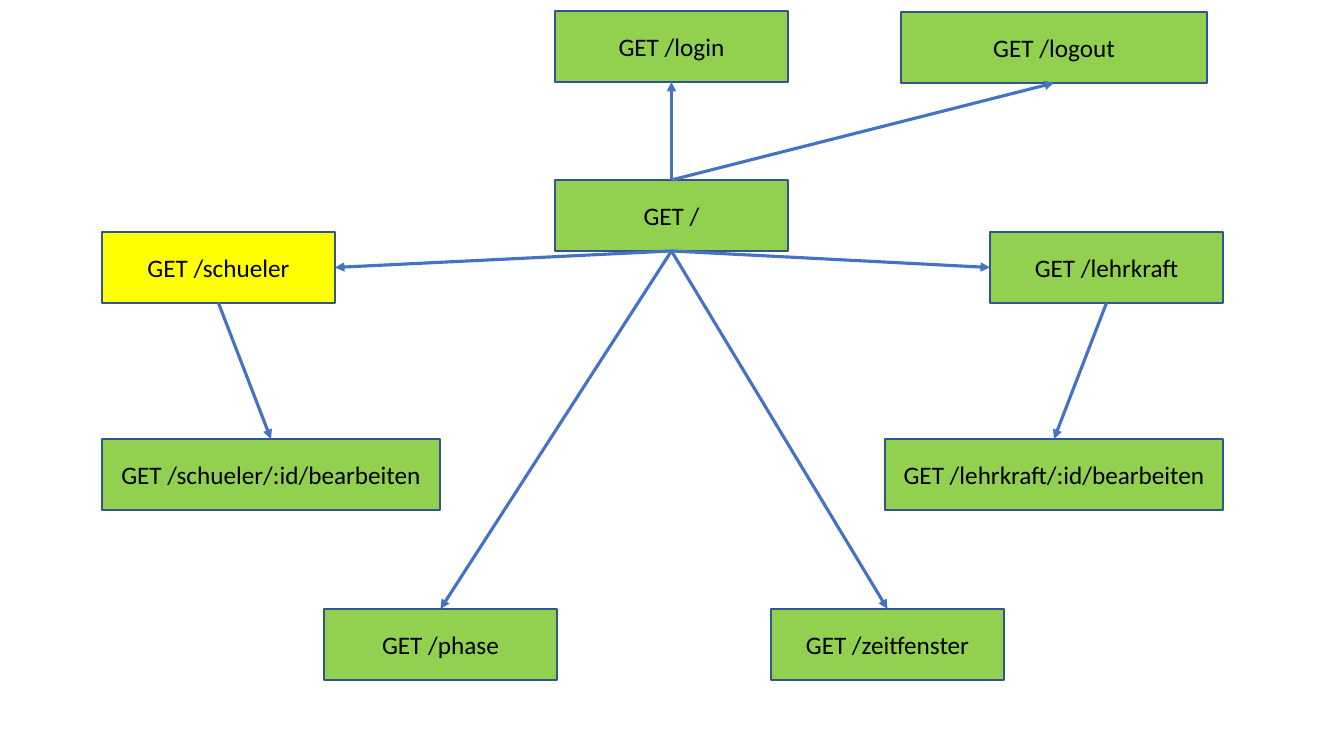
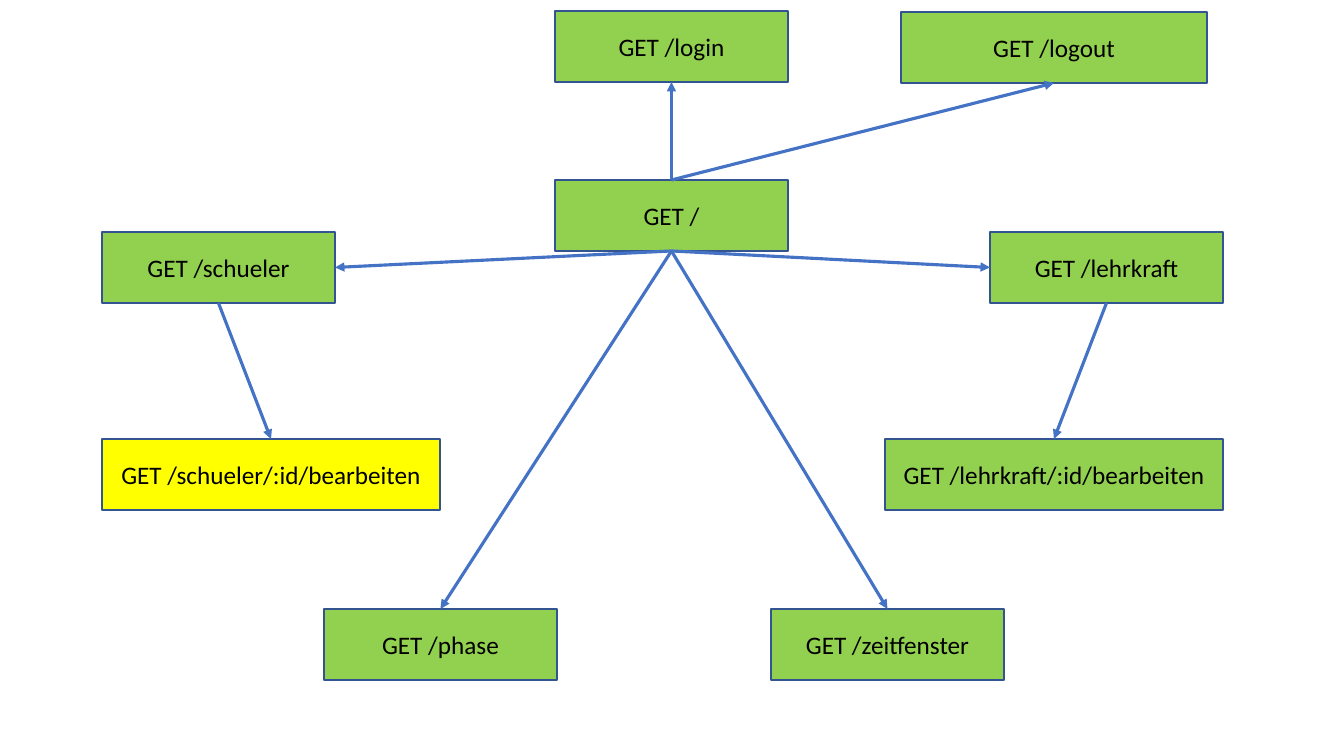
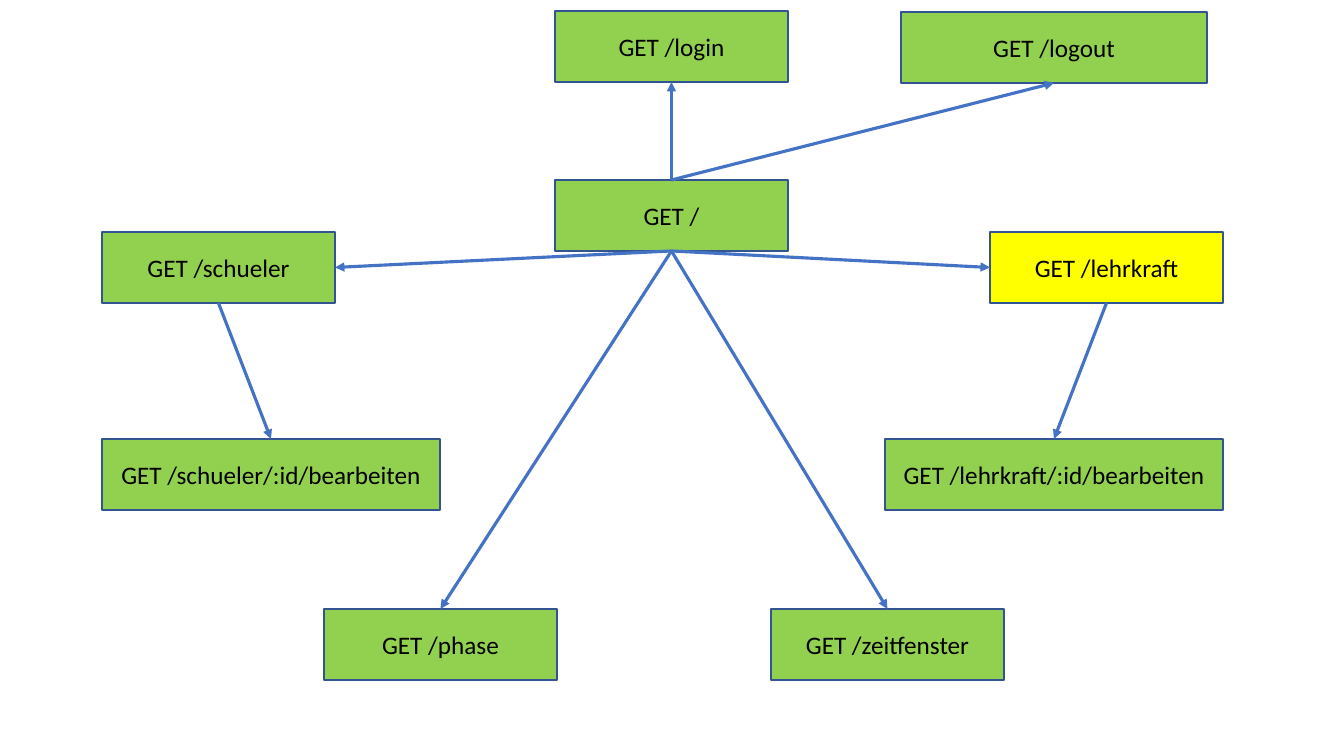
"""Builds three route maps, each highlighting one page of the application."""
from lxml import etree
from pptx import Presentation
from pptx.dml.color import RGBColor
from pptx.enum.shapes import MSO_CONNECTOR, MSO_SHAPE
from pptx.enum.text import MSO_ANCHOR, PP_ALIGN
from pptx.oxml.ns import qn
from pptx.util import Emu, Pt

RECTANGLE = MSO_SHAPE.RECTANGLE
STRAIGHT = MSO_CONNECTOR.STRAIGHT
MIDDLE = MSO_ANCHOR.MIDDLE
CENTER = PP_ALIGN.CENTER
TOP, LEFT, BOTTOM, RIGHT = range(4)

EMU_PER_PIXEL = 914400 / 100.8
SLIDE_WIDTH, SLIDE_HEIGHT = 1344, 756
BLANK_LAYOUT = 6
FONT = "Calibri"
COLORS = {
    "route": "92D050",
    "current": "FFFF00",
    "border": "325491",
    "arrow": "4472C4",
    "text": "000000",
}

BOX_HEIGHT = 71
NORMAL, LOGOUT, WIDE = 233, 306, 338
ROUTES = {
    "/": (555, 180, NORMAL),
    "/schueler": (102, 232, NORMAL),
    "/schueler/:id/bearbeiten": (102, 439, WIDE),
    "/phase": (324, 609, NORMAL),
    "/login": (555, 11, NORMAL),
    "/lehrkraft/:id/bearbeiten": (885, 439, WIDE),
    "/lehrkraft": (990, 232, NORMAL),
    "/zeitfenster": (771, 609, NORMAL),
    "/logout": (901, 12, LOGOUT),
}
LINKS = [
    ("/", BOTTOM, "/schueler", RIGHT),
    ("/", BOTTOM, "/phase", TOP),
    ("/", BOTTOM, "/zeitfenster", TOP),
    ("/", BOTTOM, "/lehrkraft", LEFT),
    ("/schueler", BOTTOM, "/schueler/:id/bearbeiten", TOP),
    ("/lehrkraft", BOTTOM, "/lehrkraft/:id/bearbeiten", TOP),
    ("/", TOP, "/login", BOTTOM),
    ("/", TOP, "/logout", BOTTOM),
]
CURRENT_ROUTES = ["/schueler", "/schueler/:id/bearbeiten", "/lehrkraft"]


def px(pixels):
    """Convert pixels to EMU."""
    return Emu(round(pixels * EMU_PER_PIXEL))


def color(name):
    """Look up a named colour."""
    return RGBColor.from_string(COLORS[name])


def add_route(page, route, fill):
    """Add the labelled box of one route."""
    left, top, width = ROUTES[route]
    box = page.shapes.add_shape(RECTANGLE, px(left), px(top), px(width), px(BOX_HEIGHT))
    box.shadow.inherit = False
    box.fill.solid()
    box.fill.fore_color.rgb = color(fill)
    box.line.color.rgb = color("border")
    box.line.width = Pt(1)
    box.text_frame.vertical_anchor = MIDDLE
    para = box.text_frame.paragraphs[0]
    para.alignment = CENTER
    span = para.add_run()
    span.text = f"GET {route}"
    span.font.name = FONT
    span.font.size = Pt(18)
    span.font.color.rgb = color("text")
    return box


def add_arrow(page, source, source_side, target, target_side):
    """Join the sides of two boxes with an arrow."""
    arrow = page.shapes.add_connector(STRAIGHT, 0, 0, 0, 0)
    arrow.begin_connect(source, source_side)
    arrow.end_connect(target, target_side)
    arrow.line.color.rgb = color("arrow")
    arrow.line.width = Pt(2.25)
    properties = arrow.element.spPr
    etree.SubElement(properties.find(qn("a:ln")), qn("a:tailEnd"), type="triangle")
    etree.SubElement(properties, qn("a:effectLst"))


def add_route_map(deck, current):
    """Add a slide with all routes and the current one highlighted."""
    page = deck.slides.add_slide(deck.slide_layouts[BLANK_LAYOUT])
    boxes = {
        route: add_route(page, route, "current" if route == current else "route")
        for route in ROUTES
    }
    for source, source_side, target, target_side in LINKS:
        add_arrow(page, boxes[source], source_side, boxes[target], target_side)


def main():
    """Build and save the deck."""
    deck = Presentation()
    deck.slide_width, deck.slide_height = px(SLIDE_WIDTH), px(SLIDE_HEIGHT)
    for current in CURRENT_ROUTES:
        add_route_map(deck, current)
    deck.save("out.pptx")


main()
